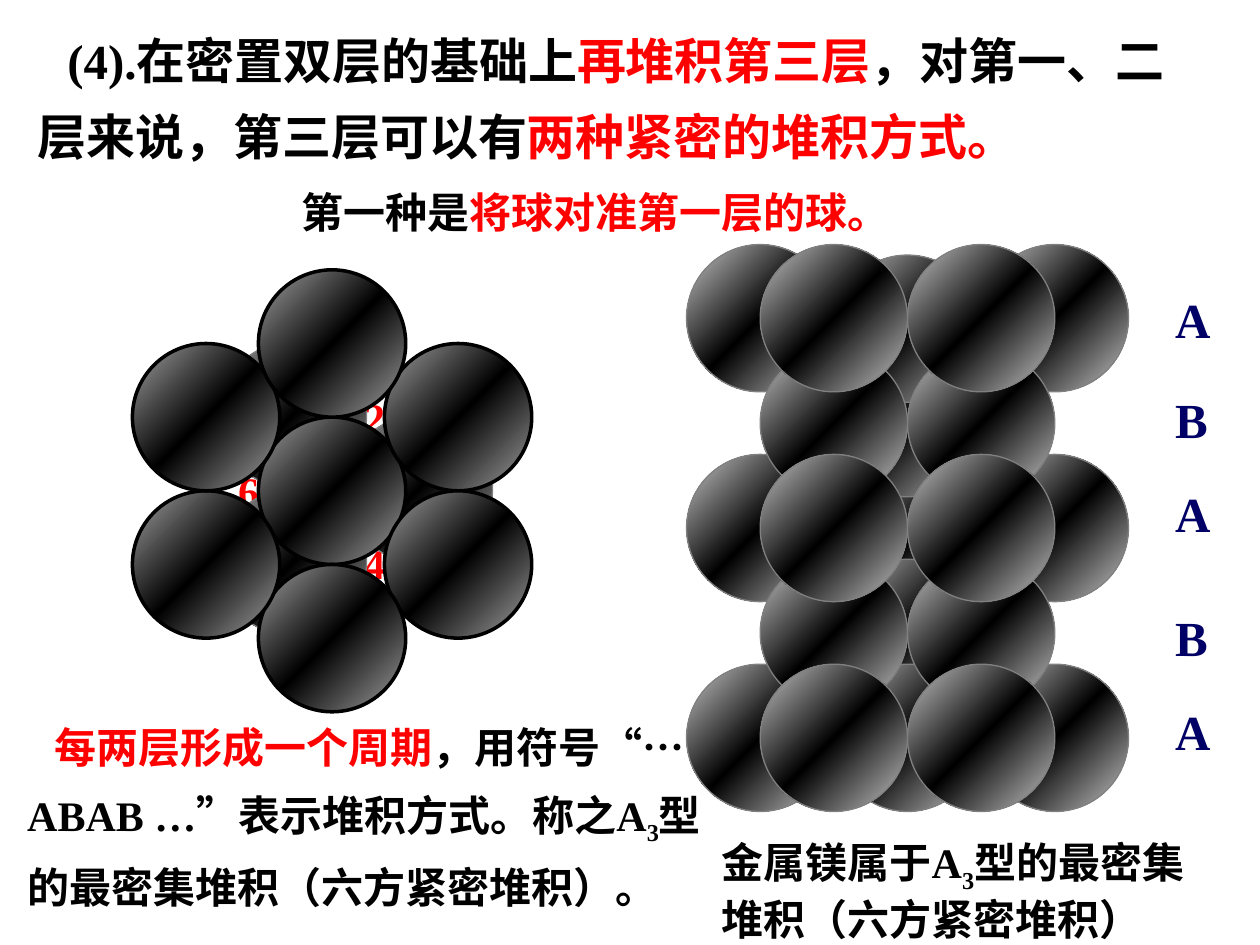
"""Build the slide on hexagonal close packing of spheres."""
from copy import deepcopy

from pptx import Presentation
from pptx import util as u
from pptx.dml import color
from pptx.enum import shapes, text

DIAMETER = 2.97
BLACK, RED, NAVY = "000000", "FF0000", "000066"
SERIF, SANS = "Times New Roman", "Arial"

STACK = [(2, 2.1), (4, 0), (0, 2), (4, 2), (2, 1), (2, 0.1), (3, 1),
         (0, 0), (3, 0), (1, 1), (2, 3), (2, 4), (0, 4), (4, 4), (1, 3),
         (1, 4), (3, 3), (3, 4), (1, 2), (3, 2), (1, 0)]
SECOND_LAYER = [(0, -1), (1, 0), (0, 1)]
THIRD_LAYER = [(0, 0), (1, -1), (1, 1), (0, 2), (-1, 1), (-1, -1), (0, -2)]
LAYER_LABELS = [("A", 5.72), ("B", 7.72), ("A", 9.63), ("B", 12.12), ("A", 14.02)]
HOLE_LABELS = [("2", 7.09, 7.77), ("4", 7.09, 10.72), ("6", 4.55, 9.25)]


def rgb(value):
    """Turn a hex string into a colour."""
    return color.RGBColor.from_string(value)


def set_values(target, values):
    """Set attributes of an object from a dict."""
    for name, value in values.items():
        setattr(target, name, value)


def add_sphere(slide, left, top, edge, outline="808080", width=0.75):
    """Add a ball with a dark diagonal band."""
    shape = slide.shapes.add_shape(
        shapes.MSO_SHAPE.OVAL, u.Cm(left), u.Cm(top), u.Cm(DIAMETER), u.Cm(DIAMETER))
    shape.shadow.inherit = False
    shape.fill.gradient()
    shape.fill.gradient_angle = 315
    stops = shape._element.spPr.find(".//{*}gsLst")
    stops.append(deepcopy(stops[-1]))
    for stop, position, value in zip(
            shape.fill.gradient_stops, (0, 0.5, 1), (edge, BLACK, edge)):
        stop.position = position
        stop.color.rgb = rgb(value)
    shape.line.color.rgb = rgb(outline)
    shape.line.width = u.Pt(width)


def add_layer(slide, origin, step, cells, **style):
    """Place spheres on a grid given by its origin and step."""
    for column, row in cells:
        add_sphere(slide, origin[0] + column * step[0], origin[1] + row * step[1], **style)


def add_text(slide, box, runs, spacing=1.0, indent=0):
    """Add a text box whose runs are (text, size, colour, font, baseline)."""
    shape = slide.shapes.add_textbox(*map(u.Cm, box))
    set_values(shape.text_frame, {
        "word_wrap": True, "auto_size": text.MSO_AUTO_SIZE.SHAPE_TO_FIT_TEXT})
    paragraph = shape.text_frame.paragraphs[0]
    paragraph.line_spacing = spacing
    if indent:
        paragraph._p.get_or_add_pPr().set("indent", str(u.Cm(indent)))
    for words, size, value, font, baseline in runs:
        run = paragraph.add_run()
        run.text = words
        set_values(run.font, {"size": u.Pt(size), "bold": True, "name": font})
        run.font.color.rgb = rgb(value)
        if baseline:
            run.font._element.set("baseline", str(baseline * 1000))


def add_sentences(slide):
    """Add the heading, the subheading and the two conclusions."""
    add_text(slide, (0.51, 0.13, 24, 3.35), [
        ("(4).在", 28, BLACK, SERIF, 0),
        ("密置双层的基础上", 28, BLACK, SANS, 0),
        ("再堆积", 28, RED, SANS, 0),
        ("第三层", 28, RED, SERIF, 0),
        ("，对第一、二层来说，第三层可以有", 28, BLACK, SERIF, 0),
        ("两种紧密的堆积方式。", 28, RED, SERIF, 0)], 1.3, 0.6)
    add_text(slide, (4.29, 3.33, 14.6, 1.57), [
        ("第一种是", 24, BLACK, SERIF, 0),
        ("将球对准第一层的球。", 24, RED, SERIF, 0)], 1.3, 1.54)
    add_text(slide, (0.3, 14.12, 14.2, 5.72), [
        ("每两层形成一个周期", 24, RED, SERIF, 0),
        ("，用符号“… ABAB …”表示堆积方式。称之A", 24, BLACK, SERIF, 0),
        ("3", 24, BLACK, SERIF, -25),
        ("型的最密集堆积（六方紧密堆积）。", 24, BLACK, SERIF, 0)], 1.3, 0.55)
    add_text(slide, (14.3, 16.74, 10.21, 2.44), [
        ("金属镁属于", 24, BLACK, SANS, 0),
        ("A", 24, BLACK, SERIF, 0),
        ("3", 24, BLACK, SERIF, -25),
        ("型的最密集堆积（六方紧密堆积）", 24, BLACK, SERIF, 0)])


def main():
    """Build and save the presentation."""
    presentation = Presentation()
    set_values(presentation, {"slide_width": u.Cm(25.4), "slide_height": u.Cm(19.05)})
    slide = presentation.slides.add_slide(presentation.slide_layouts[6])
    add_layer(slide, (13.84, 4.93), (DIAMETER / 2, 2.115), STACK, edge="CCCCCC")
    for letter, top in LAYER_LABELS:
        add_text(slide, (23.44, top, 1.27, 1.45), [(letter, 28, NAVY, SERIF, 0)])
    for digit, left, top in HOLE_LABELS:
        add_text(slide, (left, top, 0.75, 1.27), [(digit, 24, RED, SERIF, 0)])
    hexagon_step = (2.54, DIAMETER / 2)
    add_layer(slide, (4.42, 8.37), hexagon_step, SECOND_LAYER, edge="A3A3A3")
    add_layer(slide, (5.21, 8.41), hexagon_step, THIRD_LAYER,
              edge="A3A3A3", outline=BLACK, width=2)
    add_sentences(slide)
    presentation.save("out.pptx")


if __name__ == "__main__":
    main()
